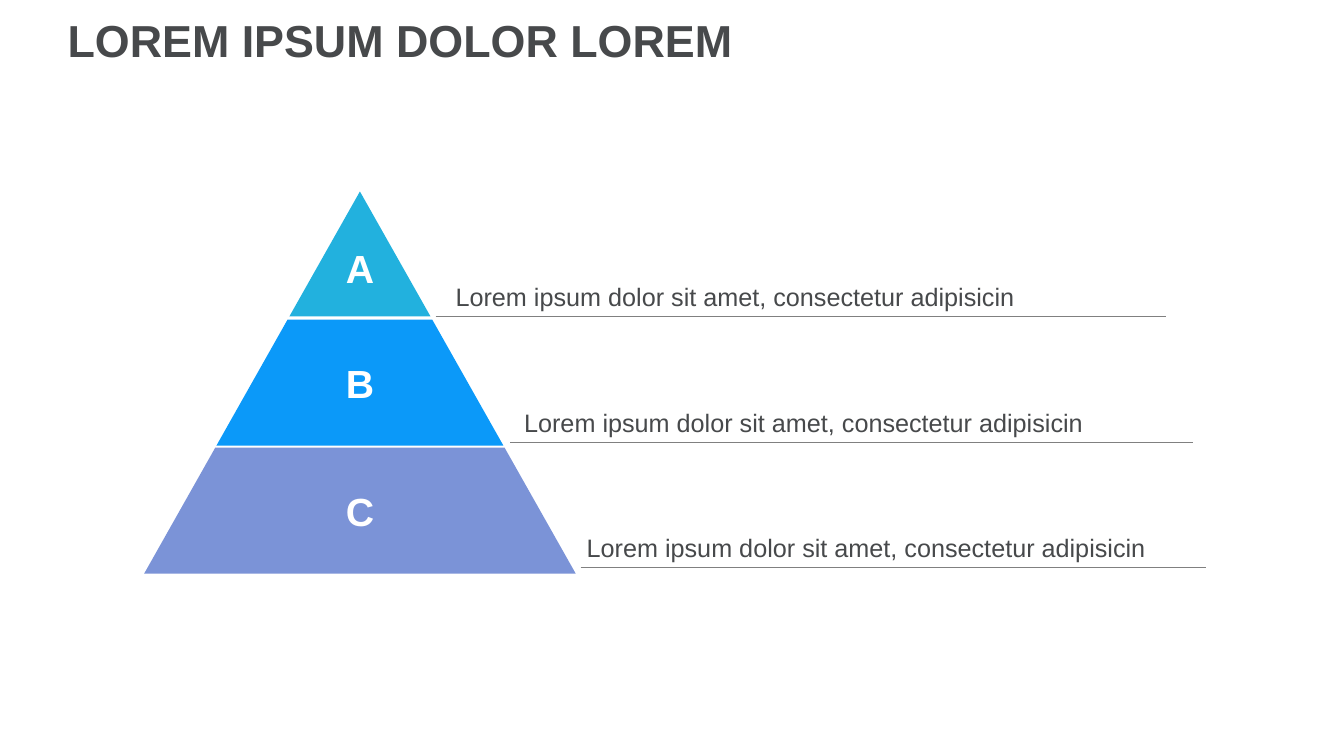
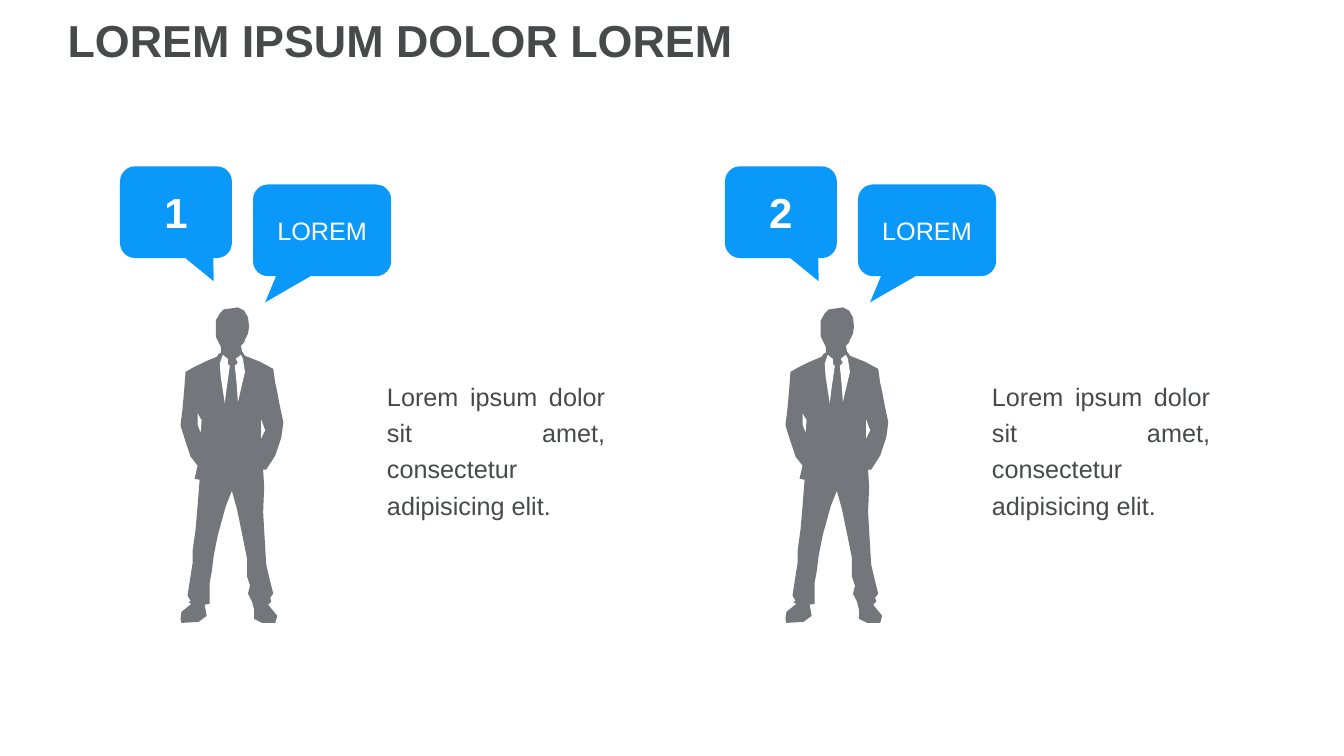
from lxml import etree
from pptx import Presentation
from pptx.dml.color import RGBColor
from pptx.enum import shapes, text
from pptx.oxml.ns import qn
from pptx.util import Inches, Pt

FONT = "Arial"
INK = RGBColor(0x47, 0x49, 0x4B)
WHITE = RGBColor(0xFF, 0xFF, 0xFF)
RULE = RGBColor(0x80, 0x80, 0x80)
SUIT = RGBColor(0x73, 0x76, 0x7A)
TEAL = RGBColor(0x22, 0xB1, 0xDE)
BLUE = RGBColor(0x0B, 0x99, 0xF9)
LILAC = RGBColor(0x7B, 0x93, 0xD7)

TITLE = "LOREM IPSUM DOLOR LOREM"
LINE = "Lorem ipsum dolor sit amet, consectetur adipisicin"
BODY = "Lorem ipsum dolor sit amet, consectetur adipisicing elit."

# Pyramid: letter, colour, top, bottom, inset above the letter
APEX, TOP, BASE, HALF = 3.57, 1.9, 5.69, 2.14
TIERS = [
    ("A", TEAL, 1.9, 3.14, 0.28),
    ("B", BLUE, 3.17, 4.42, 0),
    ("C", LILAC, 4.44, 5.69, 0),
]
# Labels: text, rule start, text left, right end, rule height
LABELS = [
    (LINE, 4.32, 4.42, 11.56, 3.14),
    (LINE, 5.06, 5.1, 11.83, 4.39),
    (LINE, 5.76, 5.72, 11.96, 5.63),
]

# People: number, bubble word, body text
PEOPLE = [("1", "LOREM", BODY), ("2", "LOREM", BODY)]
STEP = 6
# Bubbles: left, top, width, height, tail tip, text size, bold
BUBBLES = [
    (1.19, 1.65, 1.11, 0.91, (2.12, 2.79), 30, True),
    (2.51, 1.83, 1.37, 0.91, (2.63, 3), 18, False),
]
MAN = [
    (2.19, 3.44), (2.19, 3.5), (2.17, 3.51), (2.15, 3.54), (2.03, 3.59),
    (1.91, 3.65), (1.84, 3.69), (1.83, 3.83), (1.81, 4.06), (1.79, 4.22),
    (1.84, 4.38), (1.89, 4.53), (1.96, 4.62), (1.93, 4.75), (1.98, 4.76),
    (1.96, 5.02), (1.94, 5.25), (1.91, 5.47), (1.91, 5.59), (1.88, 5.78),
    (1.86, 5.91), (1.89, 5.96), (1.87, 5.98), (1.9, 5.99), (1.8, 6.07),
    (1.79, 6.14), (1.8, 6.18), (1.97, 6.17), (2.01, 6.14), (2.05, 6.11),
    (2.03, 6), (2.08, 5.99), (2.08, 5.91), (2.08, 5.86), (2.08, 5.78),
    (2.1, 5.67), (2.12, 5.51), (2.16, 5.31), (2.24, 5.02), (2.3, 4.87),
    (2.35, 5.05), (2.4, 5.29), (2.45, 5.54), (2.45, 5.63), (2.45, 5.72),
    (2.48, 5.81), (2.46, 5.89), (2.5, 5.97), (2.52, 6.05), (2.52, 6.14),
    (2.6, 6.18), (2.73, 6.18), (2.75, 6.11), (2.66, 6), (2.69, 5.97),
    (2.68, 5.93), (2.71, 5.89), (2.67, 5.73), (2.64, 5.6), (2.62, 5.26),
    (2.61, 5.08), (2.62, 4.83), (2.61, 4.66), (2.64, 4.66), (2.73, 4.52),
    (2.79, 4.34), (2.81, 4.19), (2.77, 4), (2.75, 3.89), (2.73, 3.8),
    (2.71, 3.66), (2.58, 3.59), (2.43, 3.53), (2.41, 3.5), (2.4, 3.49),
    (2.39, 3.43), (2.42, 3.4), (2.43, 3.37), (2.46, 3.31), (2.47, 3.24),
    (2.46, 3.15), (2.42, 3.08), (2.36, 3.05), (2.22, 3.07), (2.18, 3.11),
    (2.14, 3.18), (2.14, 3.27), (2.14, 3.34), (2.17, 3.4),
]
GAPS = [
    [(2.21, 3.52), (2.26, 3.56), (2.26, 3.61), (2.28, 3.63), (2.25, 3.84),
     (2.23, 4), (2.19, 3.74), (2.18, 3.61)],
    [(2.39, 3.52), (2.34, 3.56), (2.36, 3.6), (2.33, 3.63), (2.35, 3.83),
     (2.36, 3.99), (2.43, 3.69), (2.41, 3.56)],
    [(1.96, 4.1), (1.96, 4.21), (1.99, 4.29), (2, 4.17)],
    [(2.59, 4.16), (2.59, 4.35), (2.63, 4.27)],
]


def paint(shape, color):
    shape.shadow.inherit = False
    shape.fill.solid()
    shape.fill.fore_color.rgb = color
    shape.line.fill.background()


def write(shape, words, size, color, align, anchor, bold=False, space=1.0):
    frame = shape.text_frame
    frame.text = words
    frame.word_wrap = True
    frame.auto_size = text.MSO_AUTO_SIZE.NONE
    frame.vertical_anchor = anchor
    para = frame.paragraphs[0]
    para.alignment = align
    para.line_spacing = space
    font = para.runs[0].font
    font.name, font.size, font.bold = FONT, Pt(size), bold
    font.color.rgb = color


def outline(parent, points, color, shift=0):
    """Draw a closed, filled polygon from points in inches."""
    spots = [(Inches(x + shift), Inches(y)) for x, y in points]
    pen = parent.build_freeform(*spots[0])
    pen.add_line_segments(spots[1:], close=True)
    shape = pen.convert_to_shape()
    paint(shape, color)
    return shape


def textbox(slide, left, top, width, height, words, align, anchor):
    box = slide.shapes.add_textbox(*map(Inches, (left, top, width, height)))
    write(box, words, 18, INK, align, anchor, space=1.2)


def start(deck):
    """Add a slide with the shared title."""
    slide = deck.slides.add_slide(deck.slide_layouts[5])
    title = slide.shapes.title
    title.left, title.top = Inches(0.57), Inches(0.08)
    title.width, title.height = Inches(12.07), Inches(0.7)
    write(title, TITLE, 32, INK, text.PP_ALIGN.LEFT,
          text.MSO_ANCHOR.MIDDLE, True, 0.9)
    return slide


def pyramid(slide):
    for words, begin, left, right, y in LABELS:
        rule = slide.shapes.add_connector(
            shapes.MSO_CONNECTOR.STRAIGHT,
            Inches(begin), Inches(y), Inches(right), Inches(y))
        rule.line.color.rgb = RULE
        rule.line.width = Pt(0.5)
        etree.SubElement(rule._element.spPr, qn("a:effectLst"))
        textbox(slide, left, y - 1.06, right - left, 1.06, words,
                text.PP_ALIGN.LEFT, text.MSO_ANCHOR.BOTTOM)
    for letter, color, top, bottom, inset in TIERS:
        high, low = (HALF * (y - TOP) / (BASE - TOP) for y in (top, bottom))
        tier = outline(slide.shapes, [
            (APEX - high, top), (APEX + high, top),
            (APEX + low, bottom), (APEX - low, bottom)], color)
        write(tier, letter, 28, WHITE, text.PP_ALIGN.CENTER,
              text.MSO_ANCHOR.MIDDLE, True)
        frame = tier.text_frame
        frame.margin_left = frame.margin_right = frame.margin_bottom = 0
        frame.margin_top = Inches(inset)


def bubble(slide, words, shift, left, top, width, height, tip, size, bold):
    shape = slide.shapes.add_shape(
        shapes.MSO_SHAPE.ROUNDED_RECTANGULAR_CALLOUT,
        Inches(left + shift), Inches(top), Inches(width), Inches(height))
    shape.adjustments[0] = (tip[0] - left) / width - 0.5
    shape.adjustments[1] = (tip[1] - top) / height - 0.5
    shape.adjustments[2] = 0.15 / height
    paint(shape, BLUE)
    write(shape, words, size, WHITE, text.PP_ALIGN.CENTER,
          text.MSO_ANCHOR.MIDDLE, bold)


def people(slide):
    for i, (number, word, body) in enumerate(PEOPLE):
        shift = i * STEP
        group = slide.shapes.add_group_shape()
        outline(group.shapes, MAN, SUIT, shift)
        for gap in GAPS:
            outline(group.shapes, gap, WHITE, shift)
        for words, spec_row in zip((number, word), BUBBLES):
            bubble(slide, words, shift, *spec_row)
        textbox(slide, 3.74 + shift, 3.48, 2.36, 1.92, body,
                text.PP_ALIGN.JUSTIFY, text.MSO_ANCHOR.MIDDLE)


def main():
    deck = Presentation()
    deck.slide_width, deck.slide_height = Inches(13.33), Inches(7.5)
    for draw in (pyramid, people):
        draw(start(deck))
    deck.save("out.pptx")


if __name__ == "__main__":
    main()
